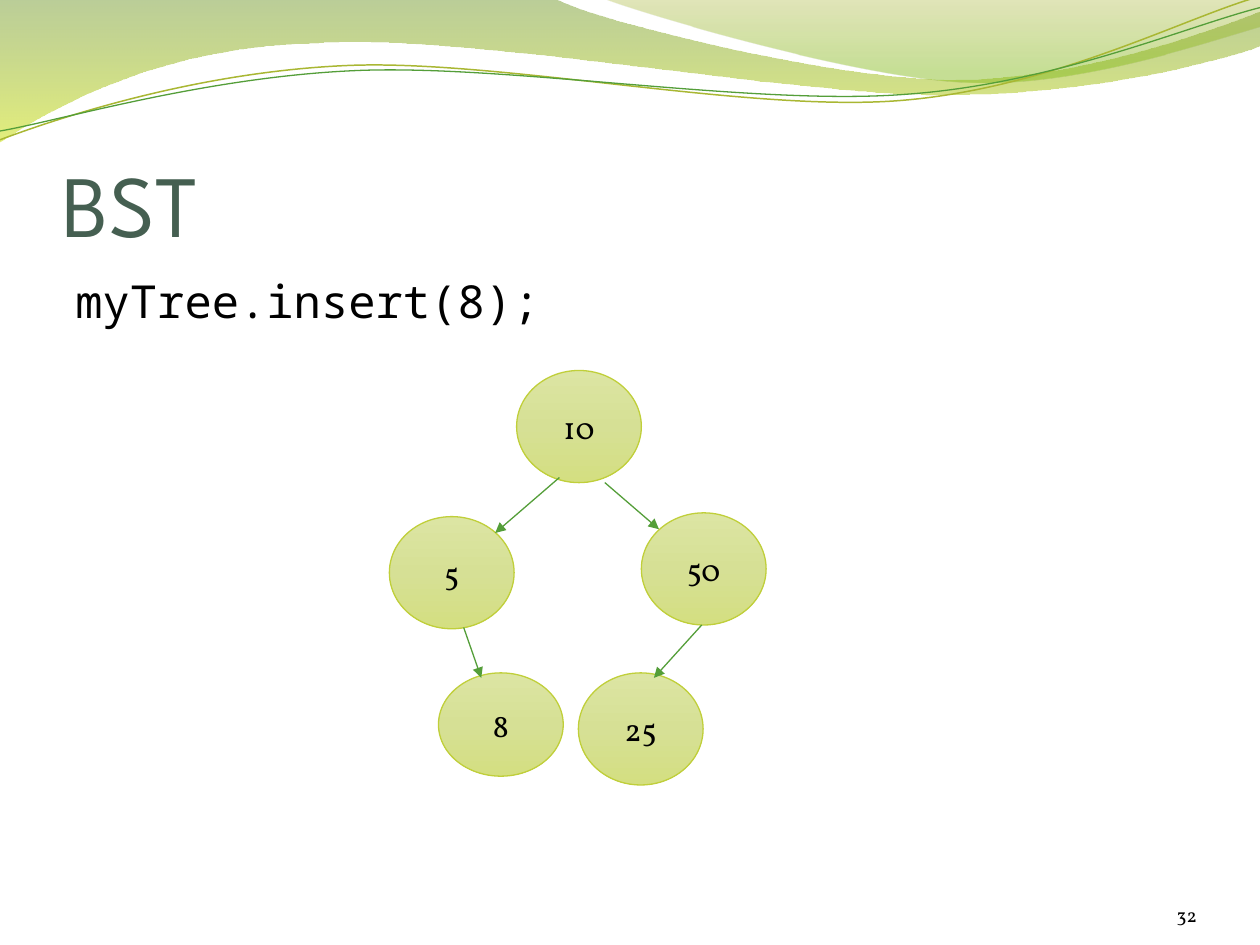
import math
from dataclasses import dataclass
from typing import NamedTuple

import lxml.etree
import pptx
import pptx.dml.color
import pptx.enum.shapes
import pptx.enum.text
import pptx.oxml
import pptx.oxml.ns
import pptx.util

Inches = pptx.util.Inches
qn = pptx.oxml.ns.qn
Align = pptx.enum.text.PP_ALIGN
Anchor = pptx.enum.text.MSO_ANCHOR
Point = tuple[float, float]
Box = tuple[float, float, float, float]


class Stop(NamedTuple):
    position: int
    color: str
    opacity: int = 100


class Style(NamedTuple):
    font: str
    size: int
    color: str


@dataclass(frozen=True)
class Theme:
    title: Style = Style("League Spartan", 50, "455F51")
    code: Style = Style("Noto Sans Mono", 26, "000000")
    number: Style = Style("Vollkorn", 11, "000000")
    key: Style = Style("Vollkorn", 18, "000000")
    node_fill: tuple[Stop, ...] = (
        Stop(0, "DCE5A3"), Stop(50, "D6E095"), Stop(100, "D4DF81"))
    node_line: str = "C0CF3A"
    edge: str = "549E39"
    olive: str = "A9B733"
    thin: float = 0.75
    ribbon: tuple[Stop, ...] = (Stop(0, "69921C", 45), Stop(100, "CCE10F", 55))
    veil: tuple[Stop, ...] = (Stop(0, "9BAA1A", 30), Stop(80, "81BA16", 45))


THEME = Theme()


class Wave(NamedTuple):
    box: Box
    segments: tuple[tuple[Point, ...], ...]
    fill: tuple[Stop, ...] = ()
    line: str = ""
    width: float = 0
    rotation: float = 0


class Node(NamedTuple):
    key: int
    left: float
    top: float
    height: float = 0.89


class Edge(NamedTuple):
    start: Point
    end: Point


WAVES = (
    Wave((-0.01, -0.01, 10.02, 1.14),
         (((0, 0),), ((4.4, -0.01),),
          ((4.75, 0.17), (6.63, 0.63), (7.58, 0.63)),
          ((8.53, 0.63), (9.58, 0.26), (10, 0.09)),
          ((10.01, 0.36),),
          ((9.83, 0.44), (8.69, 0.76), (7.46, 0.75)),
          ((6.22, 0.75), (3.81, 0.28), (2.57, 0.34)),
          ((1.29, 0.36), (0.46, 0.83), (-0.01, 1.13)),
          ((0, 0),)), fill=THEME.ribbon),
    Wave((4.79, -0.01, 5.21, 0.7),
         (((4.79, -0.01),),
          ((5.09, 0.11), (6.82, 0.62), (7.68, 0.65)),
          ((8.55, 0.69), (9.61, 0.32), (10, 0.21)),
          ((10, 0),), ((4.79, -0.01),)), fill=THEME.veil),
    Wave((-0.02, 0.22, 10.02, 0.71),
         (((0, 1.11),),
          ((0.48, 0.93), (1.57, 0.57), (2.76, 0.52)),
          ((3.95, 0.47), (5.92, 0.89), (7.12, 0.8)),
          ((8.33, 0.71), (9.38, 0.15), (9.97, -0.02))),
         line=THEME.olive, width=0.85, rotation=357.3),
    Wave((-0.02, 0.3, 10.03, 0.58),
         (((0, 1.04),),
          ((0.47, 0.96), (1.63, 0.61), (2.83, 0.56)),
          ((4.02, 0.51), (5.97, 0.84), (7.17, 0.75)),
          ((8.36, 0.67), (9.41, 0.21), (10, 0.06))),
         line=THEME.edge, width=THEME.thin, rotation=357.3),
)
NODES = (
    Node(10, 4.1, 2.94), Node(50, 5.09, 4.07), Node(25, 4.59, 5.34),
    Node(5, 3.09, 4.1), Node(8, 3.48, 5.34, 0.82),
)
EDGES = (
    Edge((4.8, 3.83), (5.23, 4.2)), Edge((5.57, 4.96), (5.19, 5.38)),
    Edge((4.44, 3.79), (3.93, 4.23)), Edge((3.68, 4.98), (3.82, 5.38)),
)
NODE_WIDTH = 0.99


def rgb(color: str) -> pptx.dml.color.RGBColor:
    return pptx.dml.color.RGBColor.from_string(color)


def to_local(point: Point, wave: Wave) -> Point:
    left, top, width, height = wave.box
    dx, dy = point[0] - left - width / 2, point[1] - top - height / 2
    angle = math.radians(-wave.rotation)
    return (dx * math.cos(angle) - dy * math.sin(angle) + width / 2,
            dx * math.sin(angle) + dy * math.cos(angle) + height / 2)


def bend_outline(shape, wave: Wave) -> None:
    outline = next(shape._element.iter(qn("a:path")))
    for old in list(outline):
        outline.remove(old)
    for index, points in enumerate(wave.segments):
        kind = "cubicBezTo" if len(points) == 3 else "lnTo" if index else "moveTo"
        segment = lxml.etree.SubElement(outline, qn(f"a:{kind}"))
        for point in points:
            x, y = to_local(point, wave)
            lxml.etree.SubElement(segment, qn("a:pt"),
                                  x=str(int(Inches(x))), y=str(int(Inches(y))))
    if wave.fill:
        lxml.etree.SubElement(outline, qn("a:close"))


def fill_gradient(shape, stops: tuple[Stop, ...]) -> None:
    shape.fill.gradient()
    shape.fill.gradient_angle = 270
    stop_list = shape._element.spPr.find(f"{qn('a:gradFill')}/{qn('a:gsLst')}")
    for old in list(stop_list):
        stop_list.remove(old)
    for stop in stops:
        mark = lxml.etree.SubElement(stop_list, qn("a:gs"), pos=str(stop.position * 1000))
        color = lxml.etree.SubElement(mark, qn("a:srgbClr"), val=stop.color)
        if stop.opacity < 100:
            lxml.etree.SubElement(color, qn("a:alpha"), val=str(stop.opacity * 1000))


def set_line(item, color: str, width: float) -> None:
    item.line.color.rgb = rgb(color)
    item.line.width = pptx.util.Pt(width)


def write(shape, text: str, style: Style, align=Align.LEFT, anchor=Anchor.TOP,
          margins: Box = (0.1, 0.05, 0.1, 0.05)) -> None:
    frame = shape.text_frame
    frame.word_wrap = True
    frame.vertical_anchor = anchor
    (frame.margin_left, frame.margin_top,
     frame.margin_right, frame.margin_bottom) = map(Inches, margins)
    frame.text = text
    paragraph = frame.paragraphs[0]
    paragraph.alignment = align
    font = paragraph.runs[0].font
    font.name, font.size = style.font, pptx.util.Pt(style.size)
    font.color.rgb = rgb(style.color)


def draw_wave(slide, wave: Wave) -> None:
    left, top, width, height = wave.box
    builder = slide.shapes.build_freeform(Inches(left), Inches(top))
    builder.add_line_segments([(Inches(left + width), Inches(top + height))], close=False)
    shape = builder.convert_to_shape()
    bend_outline(shape, wave)
    shape.rotation = wave.rotation
    shape.shadow.inherit = False
    if wave.fill:
        fill_gradient(shape, wave.fill)
        shape.line.fill.background()
    else:
        shape.fill.background()
        set_line(shape, wave.line, wave.width)


def draw_node(slide, node: Node) -> None:
    shape = slide.shapes.add_shape(
        pptx.enum.shapes.MSO_SHAPE.OVAL,
        *map(Inches, (node.left, node.top, NODE_WIDTH, node.height)))
    shape.shadow.inherit = False
    fill_gradient(shape, THEME.node_fill)
    set_line(shape, THEME.node_line, THEME.thin)
    write(shape, str(node.key), THEME.key, Align.CENTER, Anchor.MIDDLE)


def draw_edge(slide, edge: Edge) -> None:
    arrow = slide.shapes.add_connector(
        pptx.enum.shapes.MSO_CONNECTOR.STRAIGHT, *map(Inches, edge.start + edge.end))
    set_line(arrow, THEME.edge, THEME.thin)
    properties = arrow._element.spPr
    lxml.etree.SubElement(properties.find(qn("a:ln")), qn("a:tailEnd"), type="triangle")
    lxml.etree.SubElement(properties, qn("a:effectLst"))


def add_text(slide, box: Box, text: str, style: Style, **layout) -> None:
    write(slide.shapes.add_textbox(*map(Inches, box)), text, style, **layout)


def main() -> None:
    deck = pptx.Presentation()
    deck.slide_width, deck.slide_height = Inches(10), Inches(7.5)
    slide = deck.slides.add_slide(deck.slide_layouts[6])
    for wave in WAVES:
        draw_wave(slide, wave)
    add_text(slide, (0.5, 0.77, 9, 1.25), "BST", THEME.title,
             anchor=Anchor.BOTTOM, margins=(0, 0.05, 0, 0))
    add_text(slide, (0.5, 2.12, 9, 4.8), "myTree.insert(8);", THEME.code)
    add_text(slide, (8.67, 6.95, 0.83, 0.4), "32", THEME.number,
             align=Align.RIGHT, anchor=Anchor.BOTTOM, margins=(0, 0, 0, 0))
    for node in NODES:
        draw_node(slide, node)
    for edge in EDGES:
        draw_edge(slide, edge)
    deck.save("out.pptx")


if __name__ == "__main__":
    main()
